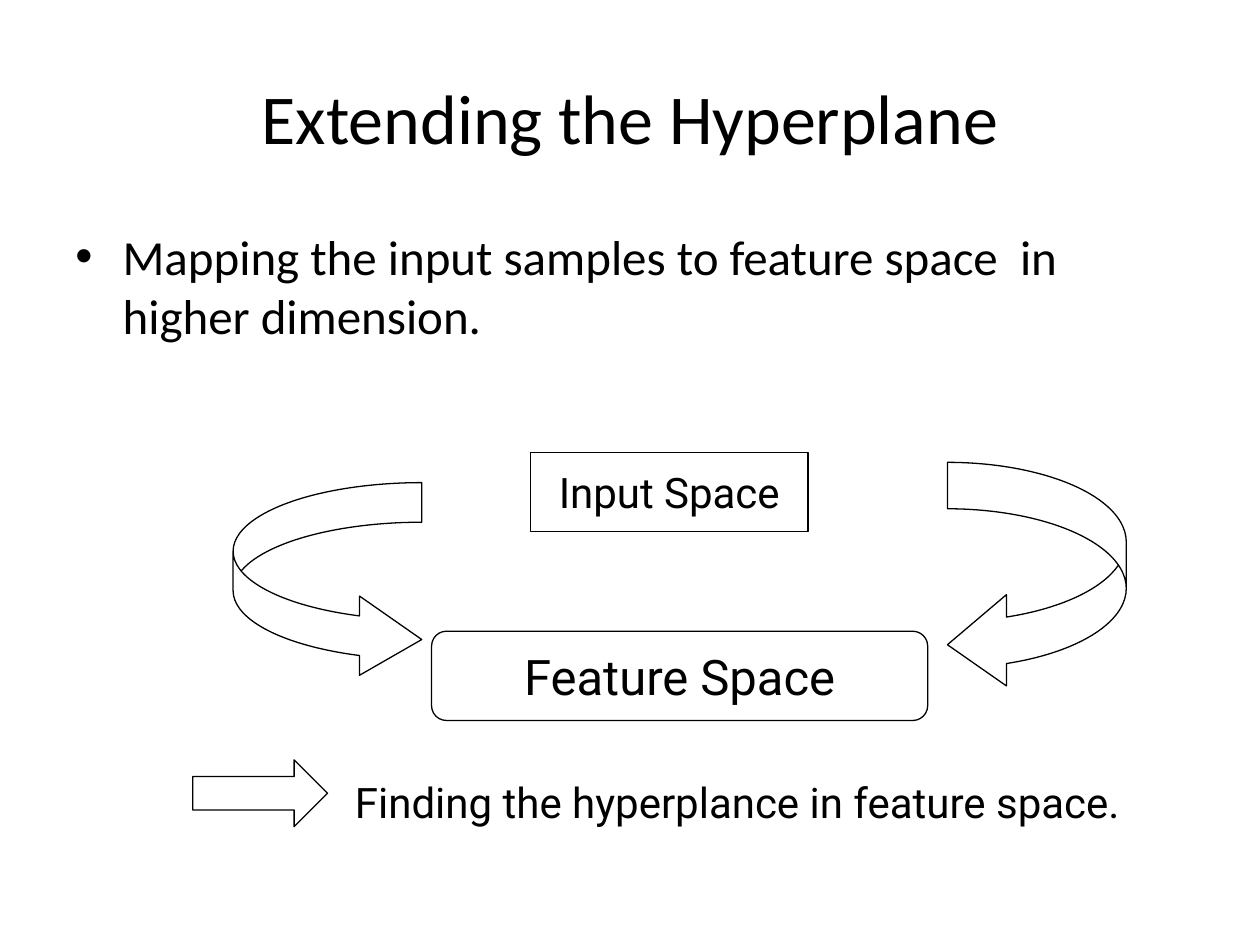
"""Build the slide on extending the hyperplane to feature space."""
from lxml import etree
from pptx import Presentation
from pptx.dml.color import RGBColor
from pptx.enum.shapes import MSO_SHAPE
from pptx.enum.text import MSO_ANCHOR, PP_ALIGN
from pptx.oxml.ns import qn
from pptx.util import Pt

BLACK = RGBColor(0x00, 0x00, 0x00)
HEADING_FONT = "Calibri"
DIAGRAM_FONT = "Roboto"
LEFT, CENTER = PP_ALIGN.LEFT, PP_ALIGN.CENTER
TOP, MIDDLE = MSO_ANCHOR.TOP, MSO_ANCHOR.MIDDLE
RECTANGLE = MSO_SHAPE.RECTANGLE
ROUNDED = MSO_SHAPE.ROUNDED_RECTANGLE
RIGHT_ARROW = MSO_SHAPE.RIGHT_ARROW
CURVED_RIGHT = MSO_SHAPE.CURVED_RIGHT_ARROW
CURVED_LEFT = MSO_SHAPE.CURVED_LEFT_ARROW


def write_text(holder, text, size, font, align, anchor, wrap=True):
    frame = holder.text_frame
    frame.text = text
    frame.word_wrap = wrap
    frame.vertical_anchor = anchor
    paragraph = frame.paragraphs[0]
    paragraph.alignment = align
    run_font = paragraph.runs[0].font
    run_font.name = font
    run_font.size = Pt(size)
    run_font.color.rgb = BLACK
    return paragraph


def add_label(slide, box, text, size, font, align=LEFT, anchor=TOP):
    label = slide.shapes.add_textbox(*map(Pt, box))
    return write_text(label, text, size, font, align, anchor)


def add_bullet(paragraph, indent):
    properties = paragraph._p.get_or_add_pPr()
    properties.set("marL", str(Pt(indent)))
    properties.set("indent", str(-Pt(indent)))
    etree.SubElement(properties, qn("a:buFont"), typeface="Arial")
    etree.SubElement(properties, qn("a:buChar"), char="•")


def add_outline(slide, kind, box, adjustments=()):
    outline = slide.shapes.add_shape(kind, *map(Pt, box))
    outline.shadow.inherit = False
    outline.fill.background()
    outline.line.color.rgb = BLACK
    outline.line.width = Pt(0.75)
    for index, value in enumerate(adjustments):
        outline.adjustments[index] = value
    return outline


def add_space(slide, kind, box, text, size):
    space = add_outline(slide, kind, box)
    write_text(space, text, size, DIAGRAM_FONT, CENTER, MIDDLE, wrap=False)


def main():
    presentation = Presentation()
    presentation.slide_width = Pt(720)
    presentation.slide_height = Pt(540)
    slide = presentation.slides.add_slide(presentation.slide_layouts[6])

    add_label(slide, (36, 21.6, 648, 90), "Extending the Hyperplane",
              40, HEADING_FONT, CENTER, MIDDLE)
    mapping = add_label(
        slide, (36, 126, 618.5, 90.7),
        "Mapping the input samples to feature space  in higher dimension.",
        28, HEADING_FONT)
    add_bullet(mapping, 27)

    add_label(slide, (195.8, 440, 468, 36),
              "Finding the hyperplance in feature space.", 24, DIAGRAM_FONT)
    add_outline(slide, RIGHT_ARROW, (110.2, 434.2, 77, 38.2), (0.5, 0.5))

    add_space(slide, RECTANGLE, (303.1, 258.5, 158.7, 45.4), "Input Space", 24)
    add_space(slide, ROUNDED, (246.6, 360.7, 283.5, 51), "Feature Space", 28)
    add_outline(slide, CURVED_RIGHT, (133.2, 275.8, 107.8, 112.3), (0.21, 0.42, 0.33))
    add_outline(slide, CURVED_LEFT, (541.4, 264.2, 102.2, 130.3), (0.26, 0.51, 0.33))

    presentation.save("out.pptx")


if __name__ == "__main__":
    main()
